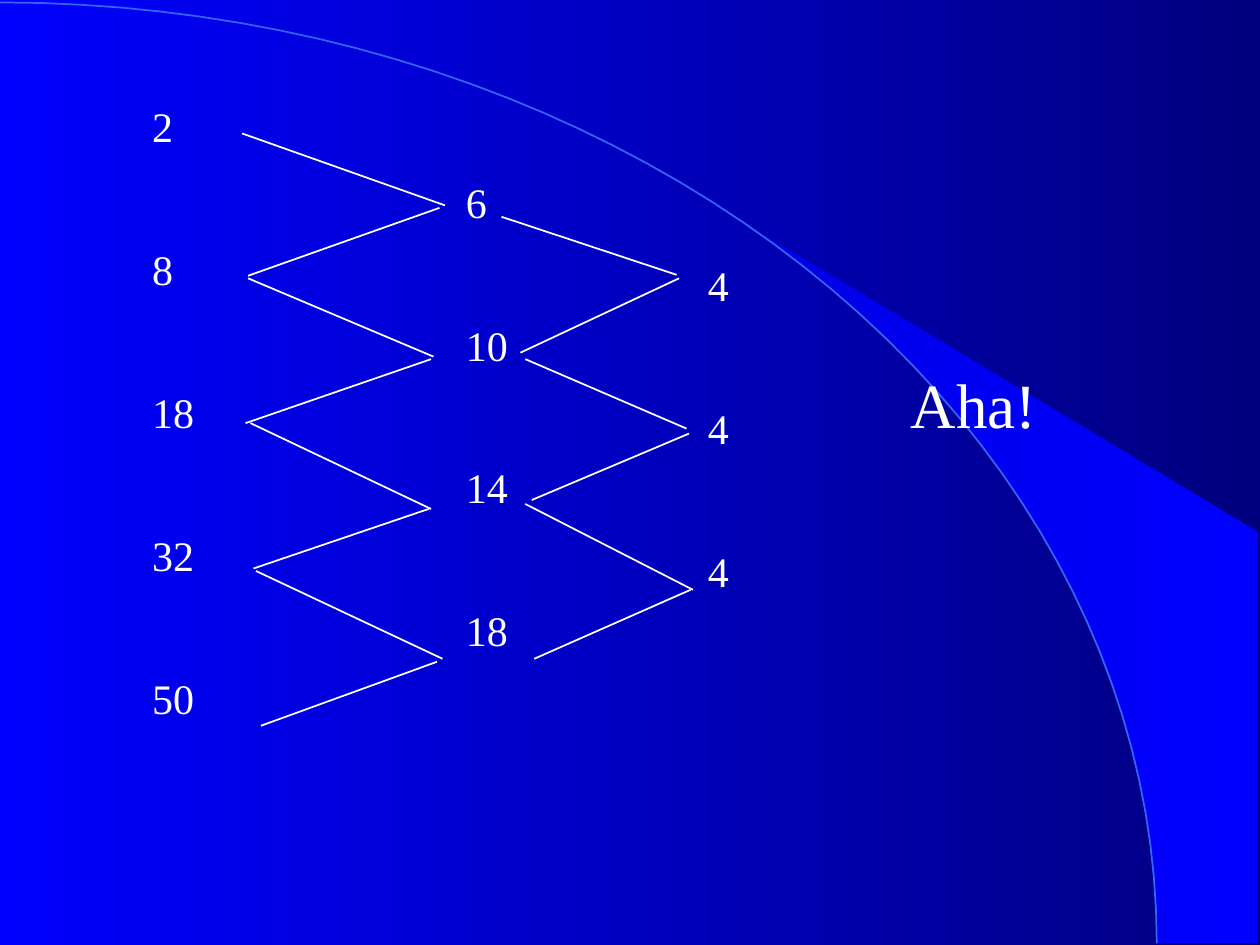
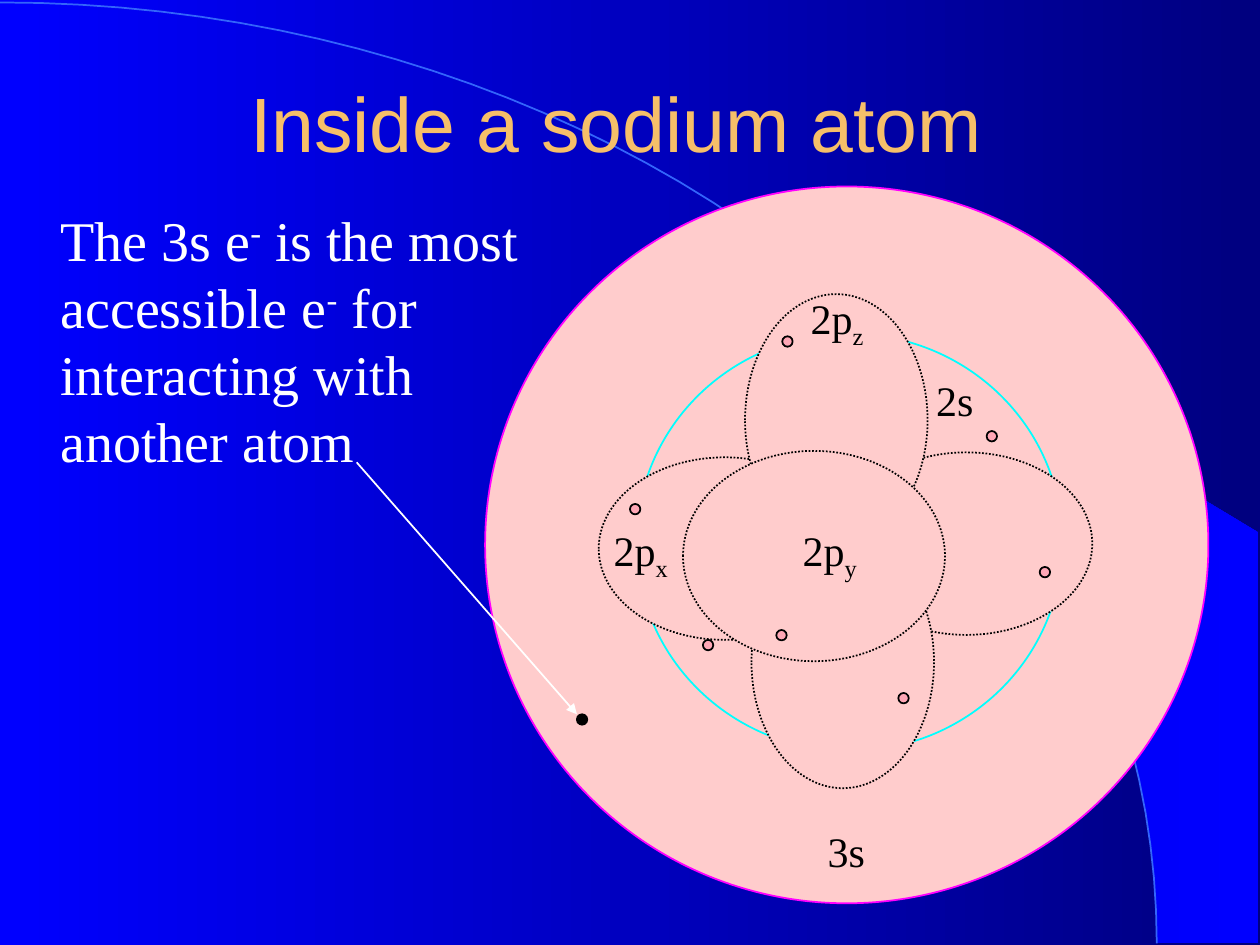
import math

import pptx
import pptx.dml.color
import pptx.enum.dml
import pptx.enum.shapes
import pptx.enum.text
import pptx.oxml
import pptx.oxml.ns
import pptx.util

Cm = pptx.util.Cm
Pt = pptx.util.Pt
ALIGN = pptx.enum.text.PP_ALIGN
ANCHOR = pptx.enum.text.MSO_ANCHOR

WHITE, BLACK = "FFFFFF", "000000"
GOLD, PINK, ROSE = "F6BF69", "FFCCCC", "FFA7B6"
MAGENTA, CYAN, ARC_BLUE = "FF00FF", "00FFFF", "3365FB"
BACKDROP = ("0000FF", "00007F")
WEDGE = ("0000E5", "0000FF")
SERIF, SANS = "Times New Roman", "Arial"


def rgb(value):
    return pptx.dml.color.RGBColor.from_string(value)


def gradient(fill, colors):
    fill.gradient()
    fill.gradient_angle = 0
    for stop, color in zip(fill.gradient_stops, colors):
        stop.color.rgb = rgb(color)


class Painter:
    def __init__(self):
        self.deck = pptx.Presentation()
        self.deck.slide_width, self.deck.slide_height = Cm(25.4), Cm(19.05)
        self.page = None

    def new_page(self, layout):
        self.page = self.deck.slides.add_slide(self.deck.slide_layouts[layout])

    def master_art(self):
        """Give the master its background, wedge and arc."""
        master = self.deck.slide_master
        gradient(master.background.fill, BACKDROP)
        arc = []
        for degree in range(0, 91, 2):
            angle = math.radians(degree)
            arc.append((Cm(23.32 * math.sin(angle)), Cm(19.02 - 18.97 * math.cos(angle))))
        corner = [(Cm(25.37), Cm(19.02)), (Cm(25.37), Cm(10.74))]
        wedge = self.outline(arc[20:] + corner, True)
        gradient(wedge.fill, WEDGE)
        wedge.line.fill.background()
        curve = self.outline(arc, False)
        curve.fill.background()
        self.stroke(curve.line, ARC_BLUE)
        for shape in (wedge, curve):
            master.shapes.element.append(shape.element)

    def outline(self, points, close):
        builder = self.page.shapes.build_freeform(*points[0])
        builder.add_line_segments(points[1:], close=close)
        shape = builder.convert_to_shape()
        shape.shadow.inherit = False
        return shape

    def stroke(self, line, color):
        line.color.rgb = rgb(color)
        line.width = Pt(1)

    def ellipse(self, left, top, width, height, fill, color, dotted=False):
        shape = self.page.shapes.add_shape(
            pptx.enum.shapes.MSO_SHAPE.OVAL, Cm(left), Cm(top), Cm(width), Cm(height))
        shape.shadow.inherit = False
        shape.fill.solid()
        shape.fill.fore_color.rgb = rgb(fill)
        self.stroke(shape.line, color)
        if dotted:
            shape.line.dash_style = pptx.enum.dml.MSO_LINE.ROUND_DOT

    def electron(self, left, top, fill=ROSE):
        self.ellipse(left, top, 0.21, 0.21, fill, BLACK)

    def line(self, x1, y1, x2, y2, arrow=False):
        link = self.page.shapes.add_connector(
            pptx.enum.shapes.MSO_CONNECTOR.STRAIGHT, Cm(x1), Cm(y1), Cm(x2), Cm(y2))
        self.stroke(link.line, WHITE)
        if arrow:
            head = pptx.oxml.parse_xml(
                f'<a:tailEnd {pptx.oxml.ns.nsdecls("a")} type="triangle"/>')
            link.line._get_or_add_ln().append(head)
        link.element.spPr.append(
            pptx.oxml.parse_xml(f'<a:effectLst {pptx.oxml.ns.nsdecls("a")}/>'))

    def span(self, para, text, size, color, font=SERIF, baseline=0):
        span = para.add_run()
        span.text = text
        span.font.name, span.font.size = font, Pt(size)
        span.font.color.rgb = rgb(color)
        if baseline:
            span._r.get_or_add_rPr().set("baseline", str(baseline * 1000))

    def text(self, left, top, width, height, paras, size=24, color=WHITE,
             align=ALIGN.LEFT, gap=0, inset=0.25):
        """Each paragraph is a list of (text, baseline percent) spans."""
        box = self.page.shapes.add_textbox(Cm(left), Cm(top), Cm(width), Cm(height))
        frame = box.text_frame
        frame.word_wrap = True
        frame.margin_left = Cm(inset)
        for index, spans in enumerate(paras):
            para = frame.add_paragraph() if index else frame.paragraphs[0]
            para.alignment = align
            para.line_spacing = Pt(size * 1.2)
            para.space_before = Pt(gap if index else 0)
            for words, baseline in spans:
                self.span(para, words, size, color, baseline=baseline)

    def label(self, left, top, width, *spans):
        self.text(left, top, width, 1.27, [spans], color=BLACK, align=ALIGN.CENTER)

    def title(self, words):
        box = self.page.shapes.title
        box.left, box.top, box.width, box.height = Cm(1.85), Cm(0.86), Cm(21.59), Cm(3.18)
        frame = box.text_frame
        frame.auto_size = pptx.enum.text.MSO_AUTO_SIZE.NONE
        frame.vertical_anchor = ANCHOR.MIDDLE
        frame.paragraphs[0].alignment = ALIGN.CENTER
        self.span(frame.paragraphs[0], words, 44, GOLD, SANS)


def differences_page(paint):
    # Columns of numbers, evenly spaced
    columns = [
        (2.82, 1.91, 2.51, 13.44, ("2", "8", "18", "32", "50")),
        (9.14, 3.43, 2.31, 10.39, ("6", "10", "14", "18")),
        (14.02, 5.11, 1.63, 7.37, ("4", "4", "4")),
    ]
    for left, top, width, height, numbers in columns:
        paint.text(left, top, width, height, [[(n, 0)] for n in numbers], gap=52.8)

    # Lines from each pair to its difference
    first_differences = [
        (4.88, 2.69, 8.97, 4.14), (5, 5.56, 8.86, 4.19),
        (5, 5.61, 8.74, 7.19), (4.95, 8.53, 8.69, 7.24),
        (5.05, 8.53, 8.69, 10.26), (5.11, 11.46, 8.64, 10.26),
        (5.16, 11.51, 8.92, 13.28), (5.26, 14.63, 8.81, 13.34),
    ]
    second_differences = [
        (10.11, 4.37, 13.64, 5.54), (10.49, 7.11, 13.69, 5.61),
        (10.59, 7.24, 13.84, 8.64), (10.72, 10.08, 13.89, 8.74),
        (10.59, 10.16, 13.97, 11.89), (10.77, 13.28, 13.92, 11.89),
    ]
    for ends in first_differences + second_differences:
        paint.line(*ends)
    paint.text(18.11, 7.24, 4.27, 1.78, [[("Aha!", 0)]], size=36)


def sodium_page(paint):
    # Outer and inner s shells
    paint.ellipse(9.78, 3.76, 14.58, 14.45, PINK, MAGENTA)
    paint.ellipse(12.83, 6.73, 8.59, 8.41, PINK, CYAN)
    paint.title("Inside a sodium atom ")

    # p lobes: right, left, bottom, top, front
    lobes = [
        (16.94, 9.12, 5.08, 3.68), (12.07, 9.22, 5.08, 3.68),
        (15.15, 10.81, 3.68, 5.08), (15.02, 5.93, 3.68, 5.08),
        (13.77, 9.09, 5.28, 4.24),
    ]
    for lobe in lobes:
        paint.ellipse(*lobe, PINK, BLACK, dotted=True)

    # Electrons
    for spot in [(19.89, 8.69), (14.17, 12.9), (12.7, 10.16), (20.96, 11.43),
                 (15.65, 12.7), (15.77, 6.78), (18.11, 13.97)]:
        paint.electron(*spot)
    paint.electron(11.63, 14.4, BLACK)

    # Orbital names
    paint.label(17.98, 7.42, 2.54, ("2s", 0))
    paint.label(15.93, 16.51, 2.26, ("3s", 0))
    for left, top, width, axis in [(11.86, 10.59, 2.11, "x"), (15.62, 10.59, 2.21, "y"),
                                   (15.77, 5.92, 2.21, "z")]:
        paint.label(left, top, width, ("2p", 0), (axis, -25))

    # Statement and its arrow
    statement = [("The 3s e", 0), ("-", 30), (" is the most accessible e", 0),
                 ("-", 30), (" for interacting with another atom", 0)]
    paint.text(0, 4.01, 10.82, 8.89, [statement], size=32, inset=1.22)
    paint.line(7.19, 9.32, 11.63, 14.4, arrow=True)


def main():
    paint = Painter()
    paint.new_page(6)
    paint.master_art()
    differences_page(paint)
    paint.new_page(5)
    sodium_page(paint)
    paint.deck.save("out.pptx")


if __name__ == "__main__":
    main()
